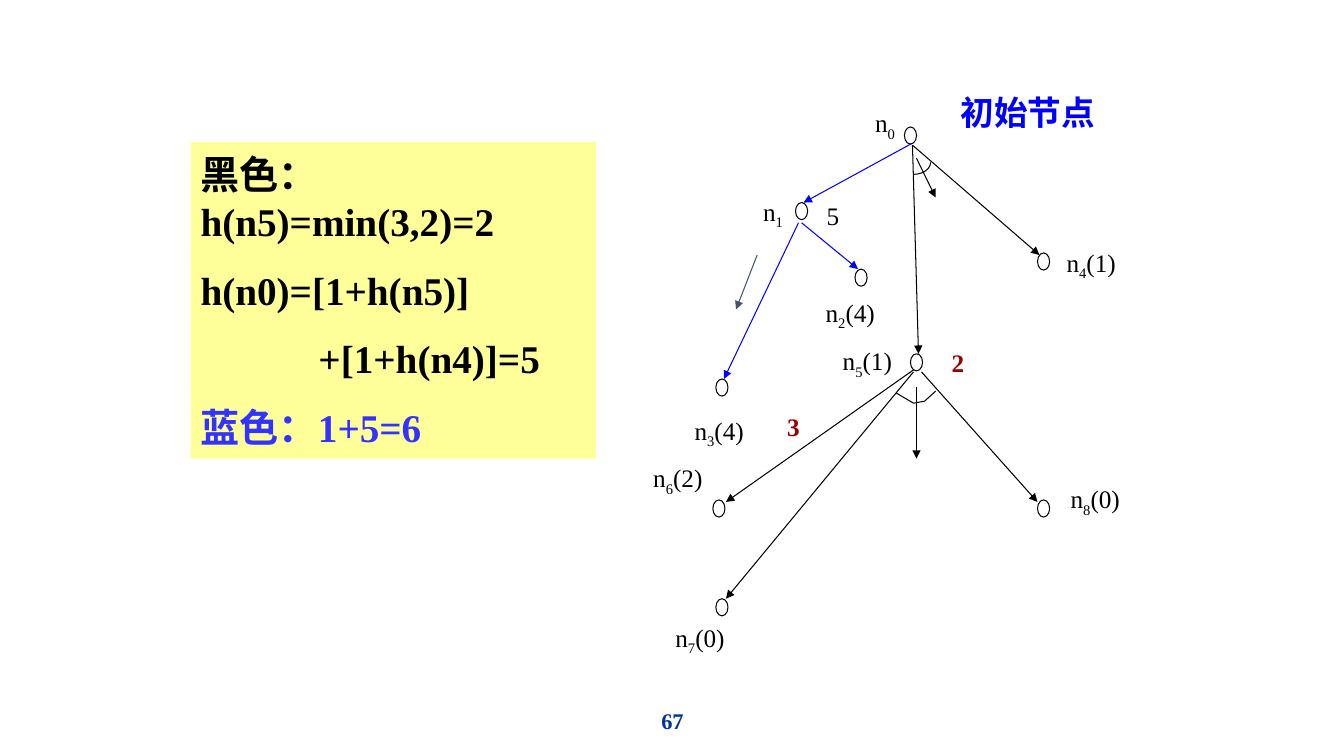
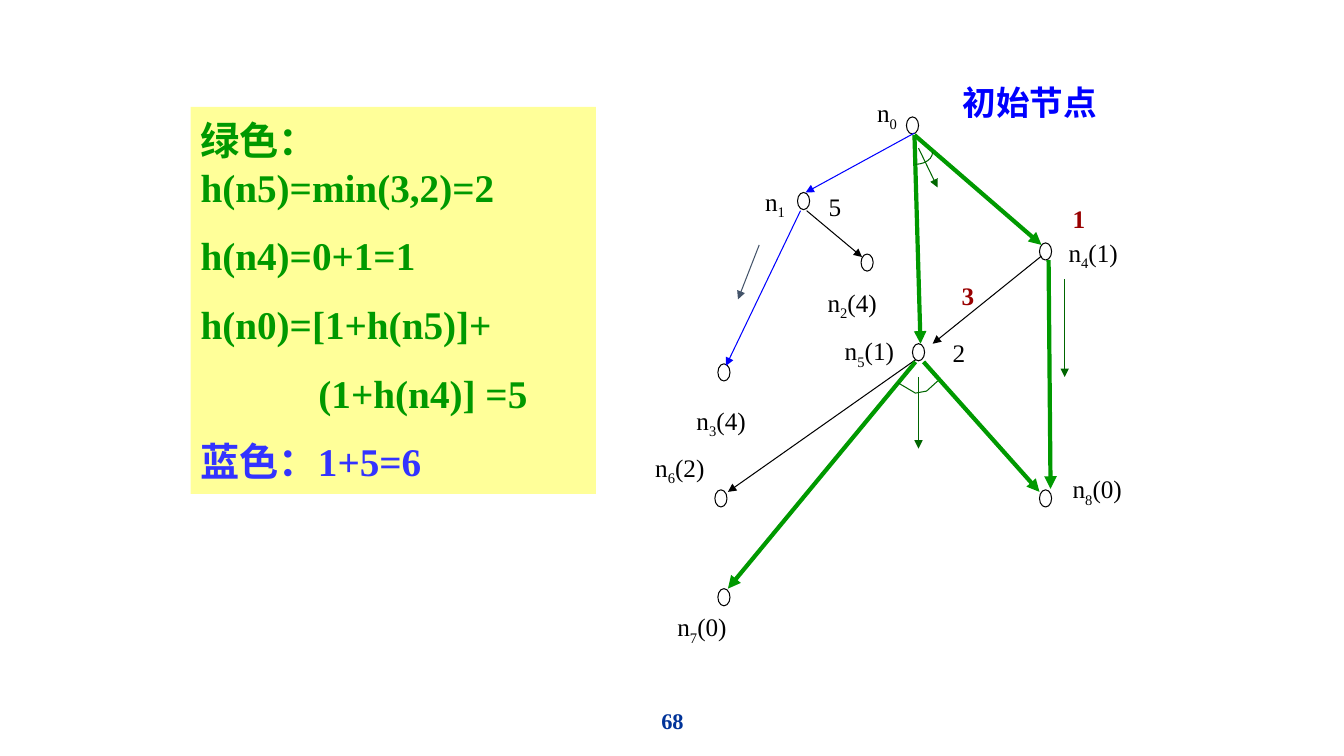
from dataclasses import dataclass, field

from lxml.etree import SubElement
from pptx import Presentation
from pptx.dml.color import RGBColor as RGB
from pptx.enum.shapes import MSO_CONNECTOR as Conn, MSO_SHAPE as Kind
from pptx.enum.text import MSO_ANCHOR as Anchor, MSO_AUTO_SIZE as Auto, PP_ALIGN as Align
from pptx.oxml.ns import qn
from pptx.util import Inches, Pt

Point = tuple[float, float]


@dataclass(frozen=True)
class Theme:
    font: str = "Times New Roman"
    black: RGB = RGB(0x00, 0x00, 0x00)
    blue: RGB = RGB(0x00, 0x00, 0xFF)
    soft: RGB = RGB(0x33, 0x33, 0xFF)
    navy: RGB = RGB(0x00, 0x33, 0x99)
    green: RGB = RGB(0x00, 0x99, 0x00)
    dark: RGB = RGB(0x00, 0x66, 0x00)
    red: RGB = RGB(0x99, 0x00, 0x00)
    slate: RGB = RGB(0x44, 0x54, 0x6A)
    yellow: RGB = RGB(0xFF, 0xFF, 0x99)
    note: int = 28
    head: int = 24
    label: int = 18
    foot: int = 16
    thin: float = 0.75
    thick: float = 3


T = Theme()


@dataclass(frozen=True)
class Pen:
    color: RGB
    width: float = T.thin


@dataclass(frozen=True)
class Node:
    num: str
    cost: str
    at: Point
    label: Point


@dataclass(frozen=True)
class Edge:
    start: Point
    end: Point
    pen: str


@dataclass(frozen=True)
class Mark:
    text: str
    at: Point
    strong: bool = True


@dataclass(frozen=True)
class Row:
    text: str
    color: RGB
    indent: float = 0


@dataclass(frozen=True)
class Step:
    page: str
    rows: list[Row]
    top: float
    height: float
    shift: Point
    pens: dict[str, Pen]
    edges: list[Edge]
    marks: list[Mark]
    moved: dict[str, Point] = field(default_factory=dict)


# Tree shared by both slides
NODES = [
    Node("0", "", (8.97, 1.26), (8.58, 1.04)),
    Node("1", "", (7.89, 2.01), (7.47, 1.92)),
    Node("2", "(4)", (8.48, 2.67), (8.09, 2.92)),
    Node("3", "(4)", (7.1, 3.76), (6.79, 4.09)),
    Node("4", "(1)", (10.29, 2.51), (10.48, 2.42)),
    Node("5", "(1)", (9.03, 3.51), (8.26, 3.4)),
    Node("6", "(2)", (7.07, 4.96), (6.38, 4.56)),
    Node("7", "(0)", (7.1, 5.94), (6.6, 6.14)),
    Node("8", "(0)", (10.29, 4.96), (10.52, 4.77)),
]
EDGES = [
    Edge((9.05, 1.42), (7.97, 2.01), "blue"),
    Edge((9.05, 1.44), (9.11, 3.51), "goal"),
    Edge((9.05, 1.44), (10.31, 2.53), "goal"),
    Edge((9.06, 3.67), (7.2, 4.98), "plain"),
    Edge((9.06, 3.69), (7.2, 5.94), "goal"),
    Edge((9.14, 3.69), (10.29, 4.98), "goal"),
    Edge((9.09, 1.57), (9.28, 1.96), "hint"),
    Edge((9.09, 3.84), (9.09, 4.55), "hint"),
    Edge((7.51, 2.53), (7.3, 3.07), "slate"),
]
BEND = [(8.89, 3.9), (9.06, 4), (9.17, 3.98), (9.28, 3.88)]
PENS = {"blue": Pen(T.blue), "plain": Pen(T.black), "slate": Pen(T.slate)}
LAST = Row("蓝色：1+5=6", T.soft)

# What differs from slide to slide
STEPS = [
    Step(
        "67",
        [Row("黑色：h(n5)=min(3,2)=2", T.black), Row("h(n0)=[1+h(n5)]", T.black),
         Row("+[1+h(n4)]=5", T.black, 1.17), LAST],
        1.41, 3.14, (0, 0),
        PENS | {"goal": Pen(T.black), "hint": Pen(T.black)},
        [Edge((7.92, 2.21), (7.18, 3.76), "blue"),
         Edge((7.95, 2.21), (8.51, 2.67), "blue")],
        [Mark("5", (8.1, 1.94), False), Mark("2", (9.34, 3.4)), Mark("3", (7.71, 4.03))],
    ),
    Step(
        "68",
        [Row("绿色：h(n5)=min(3,2)=2", T.green), Row("h(n4)=0+1=1", T.green),
         Row("h(n0)=[1+h(n5)]+", T.green), Row("(1+h(n4)] =5", T.green, 1.17), LAST],
        1.06, 3.84, (0.02, -0.1),
        PENS | {"goal": Pen(T.green, T.thick), "hint": Pen(T.dark)},
        [Edge((7.94, 2.09), (7.2, 3.63), "blue"),
         Edge((8, 2.09), (8.55, 2.55), "plain"),
         Edge((10.33, 2.54), (9.25, 3.41), "plain"),
         Edge((10.4, 2.58), (10.42, 4.85), "goal"),
         Edge((10.56, 2.77), (10.56, 3.74), "hint")],
        [Mark("5", (8.12, 1.85), False), Mark("2", (9.35, 3.3), False),
         Mark("1", (10.54, 1.97)), Mark("3", (9.44, 2.73))],
        {"2": (8.54, 2.52), "3": (7.12, 3.61)},
    ),
]


def move(at: Point, by: Point) -> Point:
    return at[0] + by[0], at[1] + by[1]


def style(run, size: int, color: RGB, bold: bool = False) -> None:
    font = run.font
    font.name, font.size, font.bold = T.font, Pt(size), bold
    font.color.rgb = color


def ink(shape, pen: Pen) -> None:
    shape.line.color.rgb = pen.color
    shape.line.width = Pt(pen.width)


def hollow(shape, pen: Pen) -> None:
    shape.shadow.inherit = False
    shape.fill.background()
    ink(shape, pen)


def add_text(slide, at: Point, size: Point, parts: list[str], points: int,
             color: RGB, bold: bool = False):
    """One line of text; every second part is a subscript."""
    box = slide.shapes.add_textbox(*map(Inches, at + size))
    frame = box.text_frame
    frame.word_wrap = False
    frame.auto_size = Auto.SHAPE_TO_FIT_TEXT
    frame.vertical_anchor = Anchor.MIDDLE
    for i, part in enumerate(parts):
        run = frame.paragraphs[0].add_run()
        run.text = part
        style(run, points, color, bold)
        if i % 2:
            run._r.get_or_add_rPr().set("baseline", "-25000")
    return frame


def add_arrow(slide, start: Point, end: Point, pen: Pen) -> None:
    line = slide.shapes.add_connector(Conn.STRAIGHT, *map(Inches, start + end))
    ink(line, pen)
    SubElement(line.get_or_add_ln(), qn("a:tailEnd"), type="triangle")
    SubElement(line.element.spPr, qn("a:effectLst"))


def add_node(slide, node: Node, step: Step) -> None:
    at = step.moved.get(node.num, move(node.at, step.shift))
    dot = slide.shapes.add_shape(Kind.OVAL, *map(Inches, at + (0.12, 0.17)))
    hollow(dot, Pen(T.black))
    parts = ["n", node.num] + ([node.cost] if node.cost else [])
    width = 0.7 if node.cost else 0.41
    add_text(slide, move(node.label, step.shift), (width, 0.4), parts, T.label, T.black)


def add_bends(slide, step: Step) -> None:
    pen = step.pens["hint"]
    at = move((8.89, 1.49), step.shift)
    arc = slide.shapes.add_shape(Kind.ARC, *map(Inches, at + (0.34, 0.24)))
    arc.adjustments[0], arc.adjustments[1] = 0, 54
    hollow(arc, pen)
    first, *rest = [tuple(map(Inches, move(p, step.shift))) for p in BEND]
    build = slide.shapes.build_freeform(*first, scale=1.0)
    build.add_line_segments(rest, close=False)
    hollow(build.convert_to_shape(), pen)


def add_note(slide, step: Step) -> None:
    box = slide.shapes.add_shape(
        Kind.RECTANGLE, *map(Inches, (1.89, step.top, 4.02, step.height)))
    box.shadow.inherit = False
    box.fill.solid()
    box.fill.fore_color.rgb = T.yellow
    box.line.fill.background()
    frame = box.text_frame
    frame.word_wrap = True
    frame.auto_size = Auto.SHAPE_TO_FIT_TEXT
    frame.vertical_anchor = Anchor.MIDDLE
    frame.text = "\n".join(row.text for row in step.rows)
    for i, (para, row) in enumerate(zip(frame.paragraphs, step.rows)):
        para.alignment = Align.LEFT
        if i:
            para.space_before = Pt(T.note * 0.55)
        if row.indent:
            para._p.get_or_add_pPr().set("marL", str(Inches(row.indent)))
        style(para.runs[0], T.note, row.color, True)


def add_step(deck, step: Step) -> None:
    slide = deck.slides.add_slide(deck.slide_layouts[6])
    # Page number
    foot = add_text(slide, (4.42, 6.95), (4.5, 0.4), [step.page], T.foot, T.navy, True)
    foot.word_wrap = True
    foot.auto_size = Auto.NONE
    foot.paragraphs[0].alignment = Align.CENTER
    # Sums on the left
    add_note(slide, step)
    # Tree on the right
    for node in NODES:
        add_node(slide, node, step)
    for edge in EDGES:
        add_arrow(slide, move(edge.start, step.shift), move(edge.end, step.shift),
                  step.pens[edge.pen])
    for edge in step.edges:
        add_arrow(slide, edge.start, edge.end, step.pens[edge.pen])
    add_bends(slide, step)
    # Heading and values
    add_text(slide, move((9.43, 0.86), step.shift), (1.54, 0.5), ["初始节点"],
             T.head, T.blue, True)
    for mark in step.marks:
        add_text(slide, mark.at, (0.33, 0.4), [mark.text], T.label,
                 T.red if mark.strong else T.black, mark.strong)


def main() -> None:
    deck = Presentation()
    deck.slide_width, deck.slide_height = Inches(13.33), Inches(7.5)
    for step in STEPS:
        add_step(deck, step)
    deck.save("out.pptx")


if __name__ == "__main__":
    main()
